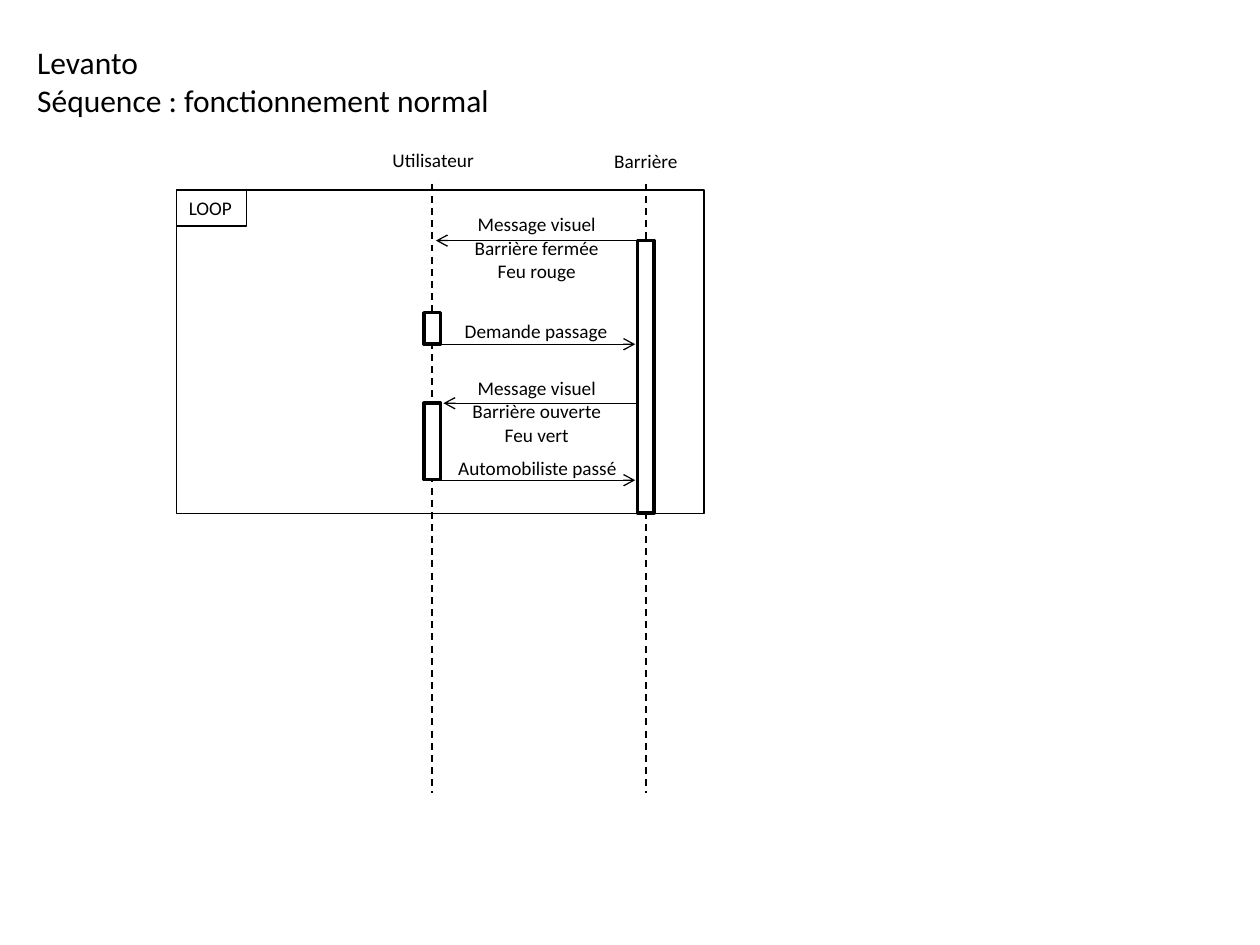
from pptx import Presentation
from pptx.dml.color import RGBColor
from pptx.enum.dml import MSO_LINE
from pptx.enum.shapes import MSO_CONNECTOR, MSO_SHAPE
from pptx.enum.text import MSO_ANCHOR, MSO_AUTO_SIZE, PP_ALIGN
from pptx.oxml.ns import qn
from pptx.util import Pt
from lxml import etree

DASH = MSO_LINE.DASH
STRAIGHT = MSO_CONNECTOR.STRAIGHT
RECTANGLE = MSO_SHAPE.RECTANGLE
TOP = MSO_ANCHOR.TOP
FIT_TEXT = MSO_AUTO_SIZE.SHAPE_TO_FIT_TEXT
LEFT, CENTER = PP_ALIGN.LEFT, PP_ALIGN.CENTER

COLORS = {"ink": "000000", "paper": "FFFFFF"}
FONT = "Calibri"
USER_X, BARRIER_X = 247, 369
BAR_WIDTH = 9.4
LABEL_HEIGHT = 20.6


def color(name):
    return RGBColor.from_string(COLORS[name])


def fill_text(shape, lines, size, alignment):
    frame = shape.text_frame
    frame.word_wrap = False
    frame.auto_size = FIT_TEXT
    frame.vertical_anchor = TOP
    for index, line in enumerate(lines):
        paragraph = frame.paragraphs[0] if index == 0 else frame.add_paragraph()
        paragraph.text = line
        paragraph.alignment = alignment
        paragraph.font.name = FONT
        paragraph.font.size = Pt(size)
        paragraph.font.color.rgb = color("ink")


def add_text(slide, left, top, width, height, lines, size=11, alignment=LEFT):
    box = slide.shapes.add_textbox(Pt(left), Pt(top), Pt(width), Pt(height))
    fill_text(box, lines, size, alignment)


def add_box(slide, left, top, width, height, line_width, fill=None):
    shape = slide.shapes.add_shape(RECTANGLE, Pt(left), Pt(top), Pt(width), Pt(height))
    shape.shadow.inherit = False
    if fill:
        shape.fill.solid()
        shape.fill.fore_color.rgb = color(fill)
    else:
        shape.fill.background()
    shape.line.color.rgb = color("ink")
    shape.line.width = Pt(line_width)
    return shape


def add_activation(slide, center, top, bottom):
    add_box(slide, center - BAR_WIDTH / 2, top, BAR_WIDTH, bottom - top, 2, "paper")


def add_line(slide, x1, y1, x2, y2, width):
    connector = slide.shapes.add_connector(STRAIGHT, Pt(x1), Pt(y1), Pt(x2), Pt(y2))
    connector.line.color.rgb = color("ink")
    connector.line.width = Pt(width)
    etree.SubElement(connector._element.spPr, qn("a:effectLst"))
    return connector


def add_lifeline(slide, x):
    add_line(slide, x, 105, x, 453, 1).line.dash_style = DASH


def add_arrow(slide, start, end, y):
    connector = add_line(slide, start, y, end, y, 0.75)
    tail = etree.SubElement(connector.line._get_or_add_ln(), qn("a:tailEnd"))
    tail.set("type", "arrow")


def main():
    presentation = Presentation()
    presentation.slide_width, presentation.slide_height = Pt(720), Pt(540)
    slide = presentation.slides.add_slide(presentation.slide_layouts[6])

    add_text(slide, 14.2, 20.9, 276.5, 51,
             ["Levanto", "Séquence : fonctionnement normal"], 18)

    add_lifeline(slide, USER_X)
    add_lifeline(slide, BARRIER_X)
    add_text(slide, 217.2, 81.2, 61.2, LABEL_HEIGHT, ["Utilisateur"])
    add_text(slide, 343.9, 81.7, 51.1, LABEL_HEIGHT, ["Barrière"])

    add_activation(slide, BARRIER_X, 137.5, 293.3)
    add_box(slide, 100.8, 108.6, 301.7, 184.8, 1)
    loop = add_box(slide, 100.8, 108.6, 39.9, LABEL_HEIGHT, 0.75)
    fill_text(loop, ["LOOP"], 11, LEFT)

    add_activation(slide, USER_X, 178.7, 196.7)
    add_activation(slide, USER_X, 230.4, 274.1)

    messages = [
        (363.6, 249.1, 137.5, 263.5, 118, 86.4,
         ["Message visuel", "Barrière fermée", "Feu rouge"], CENTER),
        (248.4, 363, 196.7, 258.5, 178.6, 96.5, ["Demande passage"], LEFT),
        (364.3, 253.4, 230.4, 262.1, 211.7, 89.3,
         ["Message visuel", "Barrière ouverte", "Feu vert"], CENTER),
        (249.1, 363, 274.4, 254.2, 257.2, 105.8, ["Automobiliste passé"], CENTER),
    ]
    for start, end, y, left, top, width, lines, alignment in messages:
        add_arrow(slide, start, end, y)
        height = LABEL_HEIGHT + 13.4 * (len(lines) - 1)
        add_text(slide, left, top, width, height, lines, alignment=alignment)

    presentation.save("out.pptx")


main()
